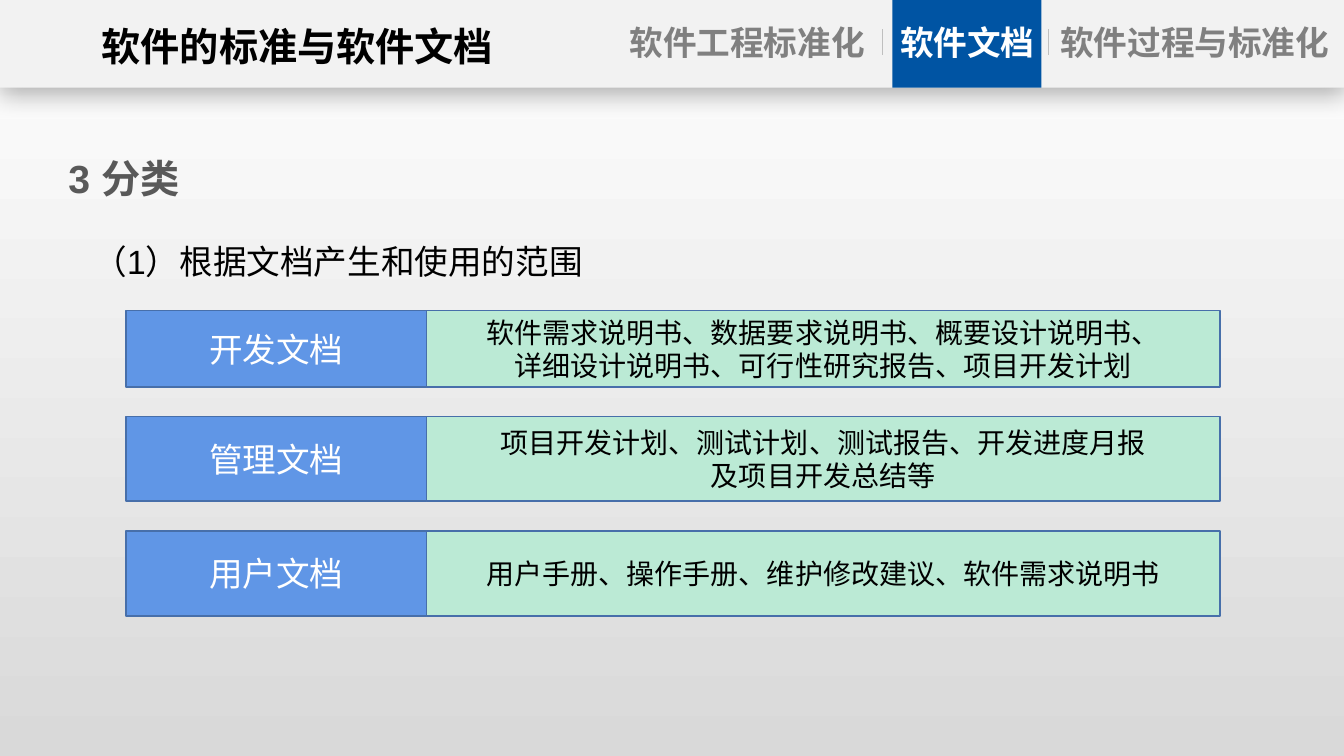
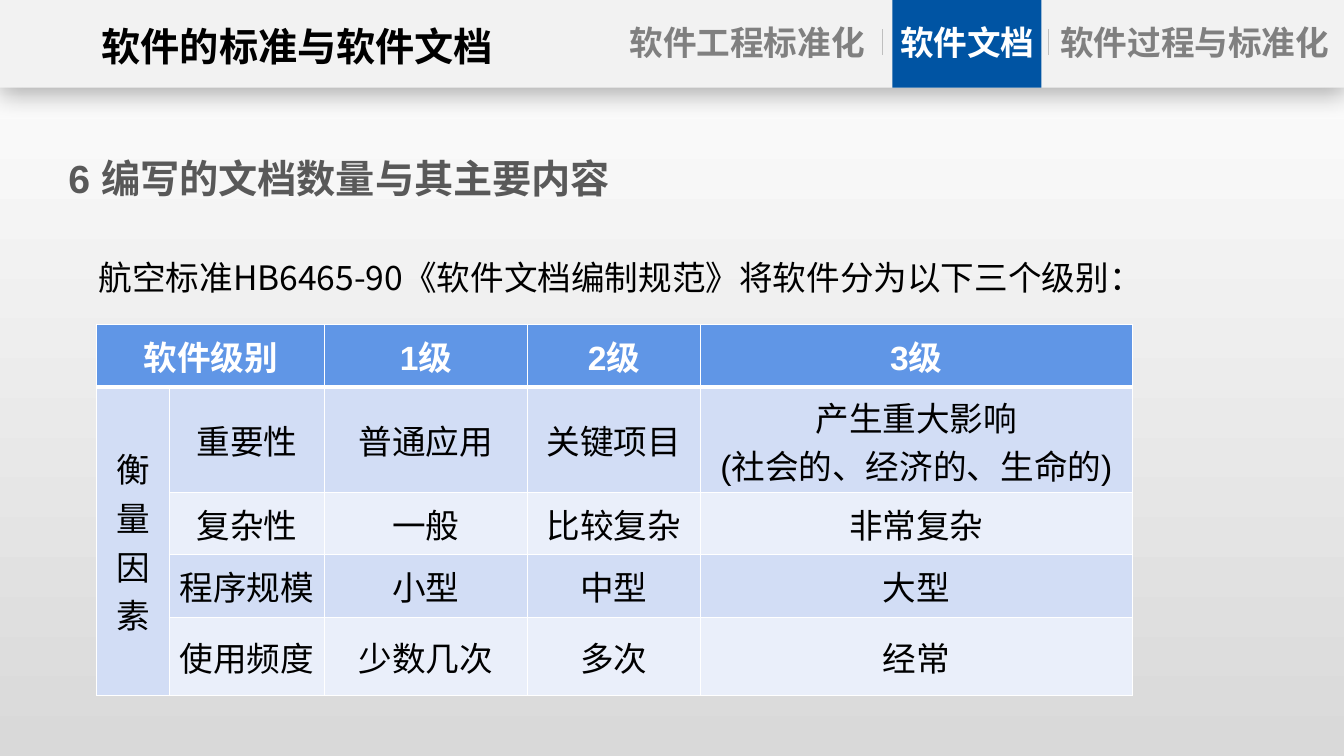
from dataclasses import dataclass

from lxml import etree
from pptx import Presentation
from pptx.dml.color import RGBColor
from pptx.enum import shapes, text
from pptx.oxml import ns
from pptx.util import Inches, Pt

# Shared colours and fonts
BAND, NAVY, RULE = "F2F2F2", "0054A3", "BFBFBF"
BLUE, MINT, EDGE = "6096E6", "BBEAD5", "476FAA"
PALE, LIGHT = "D2DDF5", "EAEFFA"
BLACK, WHITE, GREY, DARK = "000000", "FFFFFF", "808080", "595959"
LATIN, HAN = "Arial", "Noto Sans CJK SC"
LEFT, MID = text.PP_ALIGN.LEFT, text.PP_ALIGN.CENTER


@dataclass
class Tab:
    label: str
    left: float
    width: float
    color: str = GREY
    size: int = 24


@dataclass
class Group:
    name: str
    top: float
    height: float
    docs: list[str]


HEADS = [
    Tab("软件的标准与软件文档", 0.58, 4.74, BLACK, 28),
    Tab("软件工程标准化", 6.17, 2.48),
    Tab("软件文档", 8.86, 1.47, WHITE),
    Tab("软件过程与标准化", 10.47, 2.76),
]

GROUPS = [
    Group("开发文档", 3.08, 0.76, [
        "软件需求说明书、数据要求说明书、概要设计说明书、",
        "详细设计说明书、可行性研究报告、项目开发计划"]),
    Group("管理文档", 4.13, 0.84, [
        "项目开发计划、测试计划、测试报告、开发进度月报",
        "及项目开发总结等"]),
    Group("用户文档", 5.27, 0.84, [
        "用户手册、操作手册、维护修改建议、软件需求说明书"]),
]

COLS = [0.72, 1.54, 2.01, 1.72, 4.28]
ROWS = [0.62, 1.05, 0.61, 0.63, 0.77]
LEVELS = [
    ["软件级别", "", "1级", "2级", "3级"],
    ["衡量因素", "重要性", "普通应用", "关键项目",
     "产生重大影响\n(社会的、经济的、生命的)"],
    ["", "复杂性", "一般", "比较复杂", "非常复杂"],
    ["", "程序规模", "小型", "中型", "大型"],
    ["", "使用频度", "少数几次", "多次", "经常"],
]


def tint(color: str) -> RGBColor:
    return RGBColor.from_string(color)


def node(parent, tag: str, **attrs: str):
    return etree.SubElement(parent, ns.qn(tag), attrs)


def write(frame, words: str, *, size=24, color=BLACK, bold=False,
          align=MID, font=LATIN, lead=None, after=0) -> None:
    """Fill a text frame, one paragraph per line of words."""
    for i, line in enumerate(words.split("\n")):
        para = frame.paragraphs[0] if i == 0 else frame.add_paragraph()
        para.alignment, para.space_after = align, Pt(after)
        if lead:
            para.line_spacing = Pt(lead)
        run = para.add_run()
        run.text = line
        face = run.font
        face.size, face.bold, face.name = Pt(size), bold, font
        face.color.rgb = tint(color)
        node(run.font._element, "a:ea", typeface=HAN)


def label(slide, words: str, left: float, top: float, width: float,
          height: float, pad=0.1, anchor=text.MSO_ANCHOR.TOP, **style) -> None:
    box = slide.shapes.add_textbox(*map(Inches, (left, top, width, height)))
    frame = box.text_frame
    frame.word_wrap, frame.vertical_anchor = True, anchor
    frame.margin_left = frame.margin_right = Inches(pad)
    write(frame, words, **style)


def block(slide, left: float, top: float, width: float, height: float,
          fill: str, edge: str = ""):
    box = slide.shapes.add_shape(shapes.MSO_SHAPE.RECTANGLE,
                                 *map(Inches, (left, top, width, height)))
    box.shadow.inherit = False
    box.fill.solid()
    box.fill.fore_color.rgb = tint(fill)
    if edge:
        box.line.color.rgb = tint(edge)
        box.line.width = Pt(1)
    else:
        box.line.fill.background()
    box.text_frame.word_wrap = True
    box.text_frame.vertical_anchor = text.MSO_ANCHOR.MIDDLE
    return box


def shade(box) -> None:
    """Give a shape a soft shadow below it."""
    effect = box._element.spPr.find(ns.qn("a:effectLst"))
    outer = node(effect, "a:outerShdw", blurRad=str(Pt(18)),
                 dist=str(Pt(4)), dir="5400000", algn="t", rotWithShape="0")
    color = node(outer, "a:srgbClr", val=BLACK)
    node(color, "a:alpha", val="29000")


def start(deck, title: str):
    """Add a slide with the background, the top band and a title."""
    slide = deck.slides.add_slide(deck.slide_layouts[6])
    fill = slide.background.fill
    fill.gradient()
    fill.gradient_angle = 270
    for stop, place, color in zip(fill.gradient_stops, (0, 1),
                                  (WHITE, "D9D9D9")):
        stop.position, stop.color.rgb = place, tint(color)

    shade(block(slide, 0, 0, 13.33, 0.87, BAND))
    block(slide, 8.85, 0, 1.48, 0.87, NAVY)
    for x in (8.75, 10.4):
        rule = slide.shapes.add_connector(
            shapes.MSO_CONNECTOR.STRAIGHT,
            *map(Inches, (x, 0.29, x, 0.55)))
        rule.line.color.rgb, rule.line.width = tint(RULE), Pt(0.5)
        node(rule._element.spPr, "a:effectLst")
    for tab in HEADS:
        label(slide, tab.label, tab.left, 0.17, tab.width, 0.51, pad=0,
              size=tab.size, color=tab.color, bold=True)
    label(slide, title, 0.58, 1.38, 12, 0.77, size=28, color=DARK, bold=True,
          align=LEFT, anchor=text.MSO_ANCHOR.MIDDLE)
    return slide


def frame_cell(cell, base: float) -> None:
    """Draw white borders; base is the width of the bottom one."""
    props = cell._tc.get_or_add_tcPr()
    widths = {"a:lnL": 1, "a:lnR": 1, "a:lnT": 1, "a:lnB": base}
    for i, (tag, width) in enumerate(widths.items()):
        line = node(props, tag, w=str(Pt(width)))
        node(node(line, "a:solidFill"), "a:srgbClr", val=WHITE)
        props.insert(i, line)


def grid(slide, left: float, top: float) -> None:
    table = slide.shapes.add_table(
        len(ROWS), len(COLS),
        *map(Inches, (left, top, sum(COLS), sum(ROWS)))).table
    table.horz_banding = False
    for col, width in zip(table.columns, COLS):
        col.width = Inches(width)
    for row, height in zip(table.rows, ROWS):
        row.height = Inches(height)
    table.cell(0, 0).merge(table.cell(0, 1))
    table.cell(1, 0).merge(table.cell(4, 0))
    for r, line in enumerate(LEVELS):
        head = r == 0
        for c, words in enumerate(line):
            cell = table.cell(r, c)
            cell.fill.solid()
            shown = BLUE if head else PALE if r % 2 or c == 0 else LIGHT
            cell.fill.fore_color.rgb = tint(shown)
            cell.vertical_anchor = text.MSO_ANCHOR.MIDDLE
            frame_cell(cell, 3 if head else 1)
            if words:
                write(cell.text_frame, words, bold=head,
                      color=WHITE if head else BLACK)
    table.cell(1, 0)._tc.get_or_add_tcPr().set("vert", "mongolianVert")


def main() -> None:
    deck = Presentation()
    deck.slide_width, deck.slide_height = Inches(13.33), Inches(7.5)

    # Kinds of documents
    slide = start(deck, "3 分类")
    label(slide, "（1）根据文档产生和使用的范围", 0.83, 2.34, 6.67, 0.5,
          align=LEFT)
    for group in GROUPS:
        name = block(slide, 1.25, group.top, 2.98, group.height, BLUE, EDGE)
        write(name.text_frame, group.name, color=WHITE)
        docs = block(slide, 4.23, group.top, 7.87, group.height, MINT, EDGE)
        write(docs.text_frame, "\n".join(group.docs), size=20, lead=24)

    # Software levels
    slide = start(deck, "6 编写的文档数量与其主要内容")
    label(slide, "航空标准HB6465-90《软件文档编制规范》将软件分为以下三个级别：",
          0.88, 2.5, 11.95, 0.66, align=LEFT, font=HAN, after=10)
    grid(slide, 0.96, 3.22)

    deck.save("out.pptx")


if __name__ == "__main__":
    main()
